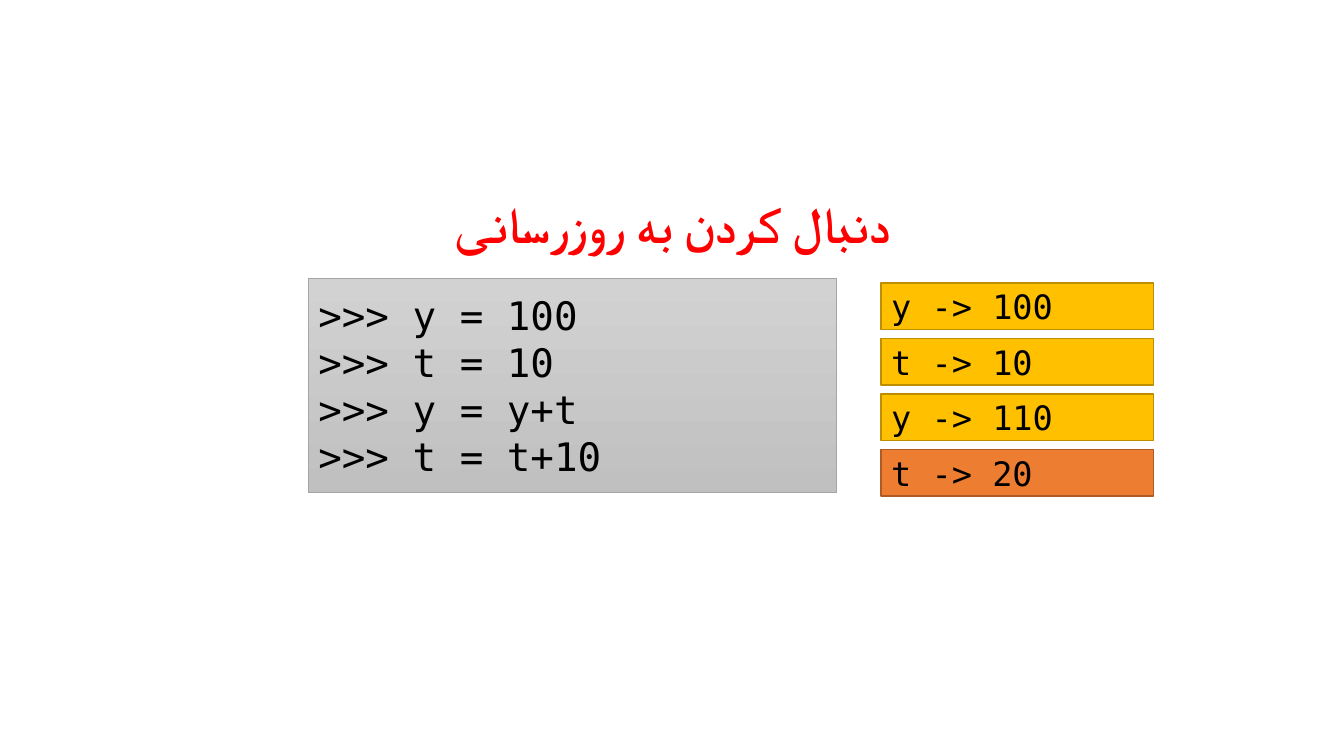
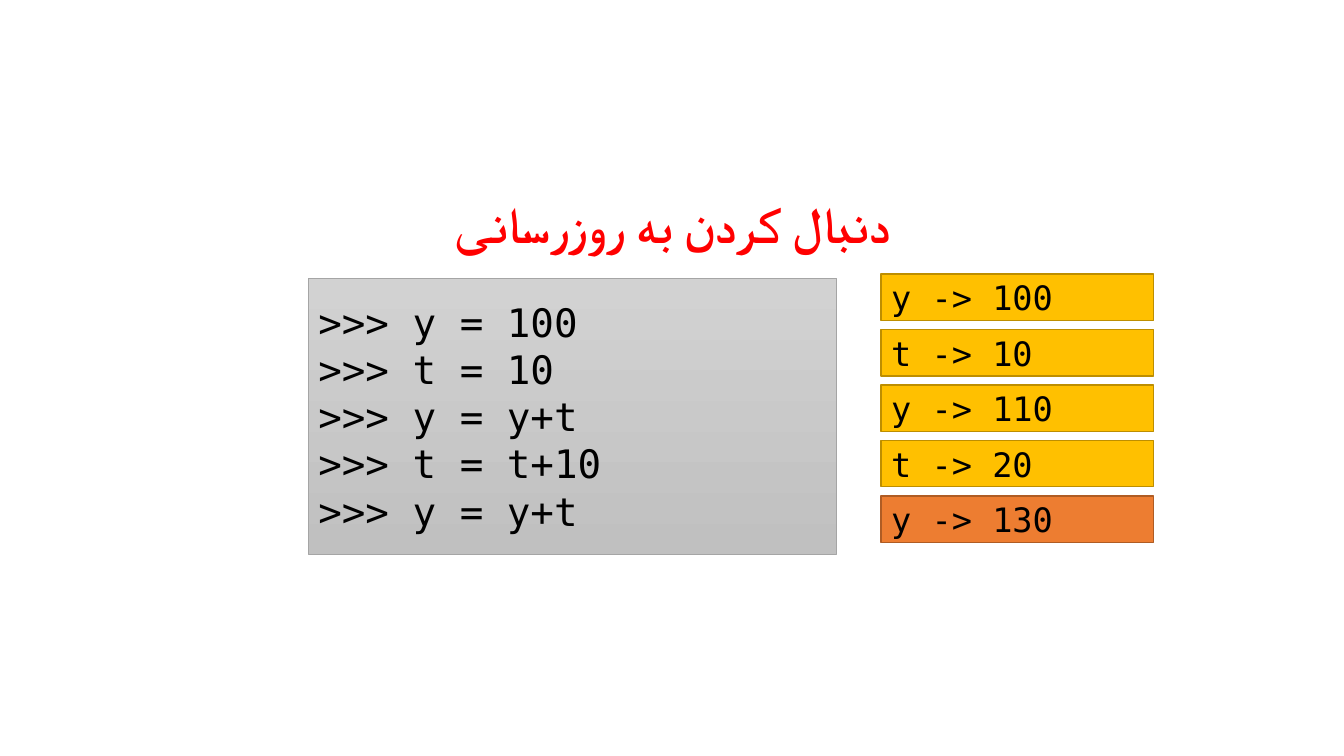
import pptx
import pptx.dml.color
import pptx.enum.shapes
import pptx.enum.text
import pptx.oxml
import pptx.oxml.ns
import pptx.util

Inches = pptx.util.Inches
Pt = pptx.util.Pt
RGBColor = pptx.dml.color.RGBColor
PP_ALIGN = pptx.enum.text.PP_ALIGN
MSO_ANCHOR = pptx.enum.text.MSO_ANCHOR

TITLE = "دنبال کردن به روزرسانی"
SLIDES = [
    {
        "code": [">>> y = 100", ">>> t = 10", ">>> y = y+t", ">>> t = t+10"],
        "values": ["y -> 100", "t -> 10", "y -> 110", "t -> 20"],
        "values_top": 2.81,
    },
    {
        "code": [">>> y = 100", ">>> t = 10", ">>> y = y+t", ">>> t = t+10", ">>> y = y+t"],
        "values": ["y -> 100", "t -> 10", "y -> 110", "t -> 20", "y -> 130"],
        "values_top": 2.72,
    },
]

BLACK = RGBColor(0x00, 0x00, 0x00)
RED = RGBColor(0xFF, 0x00, 0x00)
LIGHT_GRAY = RGBColor(0xD2, 0xD2, 0xD2)
MID_GRAY = RGBColor(0xC0, 0xC0, 0xC0)
GRAY_LINE = RGBColor(0xA5, 0xA5, 0xA5)
GOLD = RGBColor(0xFF, 0xC0, 0x00)
GOLD_LINE = RGBColor(0xBD, 0x8E, 0x00)
ORANGE = RGBColor(0xED, 0x7D, 0x31)
ORANGE_LINE = RGBColor(0xAF, 0x5C, 0x24)

TITLE_FONT = {"name": "Calibri", "size": Pt(36), "bold": True}
CODE_FONT = {"name": "DejaVu Sans Mono", "size": Pt(28)}
VALUE_FONT = {"name": "DejaVu Sans Mono", "size": Pt(24)}

CODE_LINE_HEIGHT = 0.61
CODE_HEIGHT_TRIM = 0.31
VALUE_HEIGHT = 0.46
VALUE_PITCH = 0.55


def write_lines(shape, lines, font, color, alignment, anchor):
    frame = shape.text_frame
    frame.word_wrap = True
    frame.vertical_anchor = anchor
    frame.text = "\n".join(lines)
    for paragraph in frame.paragraphs:
        paragraph.alignment = alignment
        for run in paragraph.runs:
            for attribute, value in font.items():
                setattr(run.font, attribute, value)
            run.font.color.rgb = color


def add_title(slide):
    title = slide.shapes.add_textbox(Inches(2.47), Inches(1.83), Inches(8.4), Inches(0.74))
    write_lines(title, [TITLE], TITLE_FONT, RED, PP_ALIGN.CENTER, MSO_ANCHOR.BOTTOM)
    paragraph = title.text_frame.paragraphs[0]
    paragraph.line_spacing = 0.9
    paragraph._p.get_or_add_pPr().set("rtl", "1")
    complex_script = pptx.oxml.parse_xml(
        f'<a:cs {pptx.oxml.ns.nsdecls("a")} typeface="{TITLE_FONT["name"]}"/>'
    )
    paragraph.runs[0]._r.get_or_add_rPr().append(complex_script)


def add_box(slide, left, top, width, height, lines, font, line_color, line_width):
    box = slide.shapes.add_shape(
        pptx.enum.shapes.MSO_SHAPE.RECTANGLE,
        Inches(left), Inches(top), Inches(width), Inches(height),
    )
    box.shadow.inherit = False
    box.line.color.rgb = line_color
    box.line.width = Pt(line_width)
    write_lines(box, lines, font, BLACK, PP_ALIGN.LEFT, MSO_ANCHOR.MIDDLE)
    return box


def add_code(slide, lines):
    height = CODE_LINE_HEIGHT * len(lines) - CODE_HEIGHT_TRIM
    box = add_box(slide, 3.06, 2.76, 5.24, height, lines, CODE_FONT, GRAY_LINE, 0.5)
    box.fill.gradient()
    box.fill.gradient_angle = 270
    for stop, color in zip(box.fill.gradient_stops, (LIGHT_GRAY, MID_GRAY)):
        stop.color.rgb = color


def add_values(slide, values, first_top):
    """Stack the variable values, with the newest one highlighted."""
    newest = len(values) - 1
    for index, value in enumerate(values):
        fill, line = (ORANGE, ORANGE_LINE) if index == newest else (GOLD, GOLD_LINE)
        top = first_top + index * VALUE_PITCH
        box = add_box(slide, 8.74, top, 2.7, VALUE_HEIGHT, [value], VALUE_FONT, line, 1)
        box.fill.solid()
        box.fill.fore_color.rgb = fill


def main():
    presentation = pptx.Presentation()
    presentation.slide_width = Inches(13.33)
    presentation.slide_height = Inches(7.5)
    for content in SLIDES:
        slide = presentation.slides.add_slide(presentation.slide_layouts[6])
        add_title(slide)
        add_code(slide, content["code"])
        add_values(slide, content["values"], content["values_top"])
    presentation.save("out.pptx")


if __name__ == "__main__":
    main()
